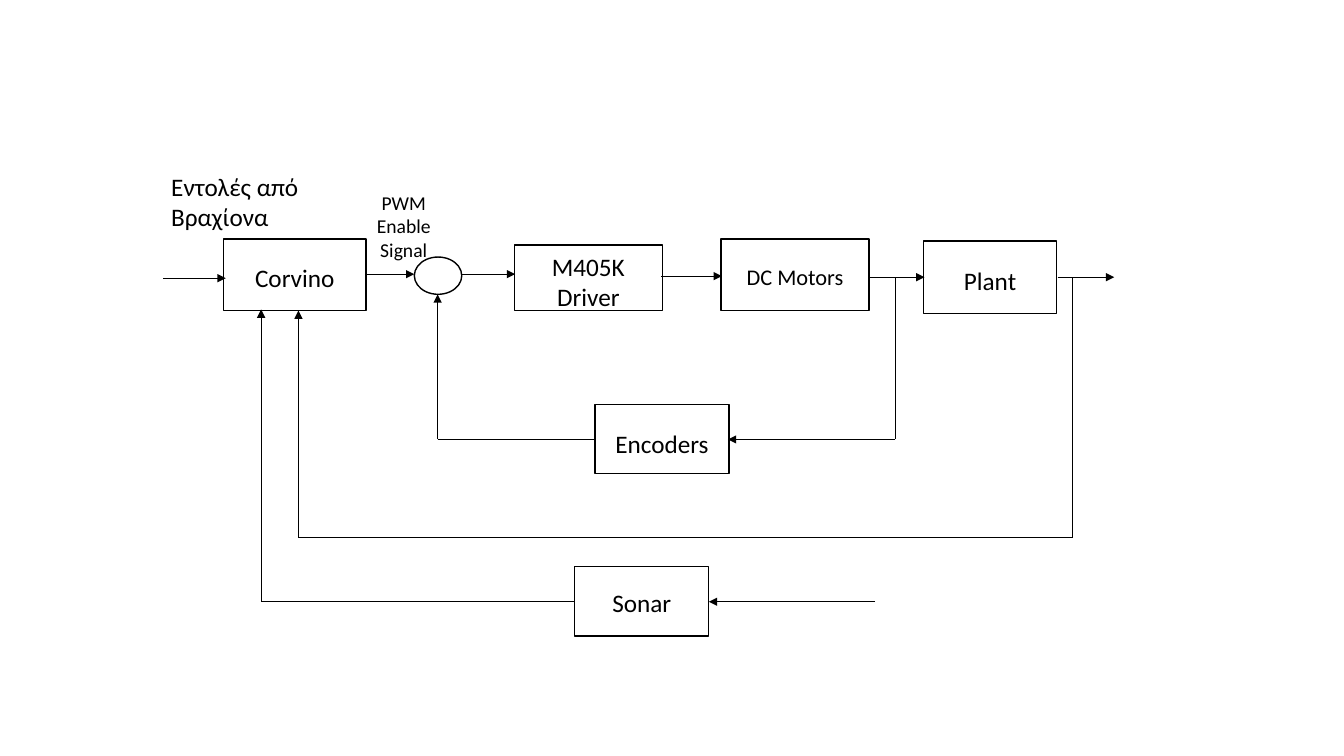
from itertools import pairwise

from pptx import Presentation, util as u
from pptx.dml.color import RGBColor
from pptx.enum import shapes as s, text as t
from pptx.oxml.ns import qn
from lxml import etree

WIDE, HIGH = u.Inches(13.33), u.Inches(7.5)
INK = "000000"

BLOCKS = [
    ("Corvino", (16.65, 31.6, 10.58, 9.47), 3.1, 18),
    ("M405K Driver", (38.26, 32.4, 11.03, 8.67), 0.8, 18),
    ("DC Motors", (53.64, 31.6, 11.03, 9.47), 3.2, 16),
    ("Plant", (68.72, 31.87, 9.9, 9.6), 3.2, 18),
    ("Encoders", (44.26, 53.47, 9.98, 9.2), 3.2, 18),
    ("Sonar", (42.76, 74.93, 9.98, 9.2), 2.7, 18),
]

FORWARD = [
    (12.15, 16.8, 36.8),
    (27.16, 30.83, 36.27),
    (34.28, 38.33, 36.27),
    (49.21, 53.71, 36.53),
    (64.59, 68.79, 36.67),
    (78.69, 82.9, 36.67),
]

FEEDBACK = [
    [(66.62, 36.67), (66.62, 58.13), (54.16, 58.13)],
    [(44.26, 58.13), (32.56, 58.13), (32.56, 38.93)],
    [(79.82, 36.67), (79.82, 71.07), (22.21, 71.07), (22.21, 41.07)],
    [(65.12, 79.6), (52.74, 79.6)],
    [(42.76, 79.6), (19.43, 79.6), (19.43, 40.93)],
]


def color(code):
    """Turn a hex string into a colour."""
    return RGBColor.from_string(code)


def col(share):
    """Turn a percentage of the slide width into a length."""
    return round(WIDE * share / 100)


def row(share):
    """Turn a percentage of the slide height into a length."""
    return round(HIGH * share / 100)


def place(area):
    """Turn left, top, width and height shares into lengths."""
    left, top, width, height = area
    return col(left), row(top), col(width), row(height)


def write(shape, words, size, align, pad=0.67):
    """Write one wrapped paragraph from the top of a shape."""
    frame = shape.text_frame
    frame.word_wrap = True
    frame.vertical_anchor = t.MSO_ANCHOR.TOP
    frame.margin_top, frame.margin_bottom = row(pad), 0
    para = frame.paragraphs[0]
    para.text, para.alignment = words, align
    para.font.name, para.font.size = "Calibri", u.Pt(size)
    para.font.color.rgb = color(INK)


def outline(slide, kind, area):
    """Draw an unfilled shape with a thin black line."""
    shape = slide.shapes.add_shape(kind, *place(area))
    shape.shadow.inherit = False
    shape.fill.background()
    shape.line.color.rgb = color(INK)
    shape.line.width = u.Pt(1)
    return shape


def block(slide, words, area, pad, size):
    """Draw a named block of the control loop."""
    shape = outline(slide, s.MSO_SHAPE.RECTANGLE, area)
    write(shape, words, size, t.PP_ALIGN.CENTER, pad)


def label(slide, words, area, size, align):
    """Add a free label beside a wire."""
    write(slide.shapes.add_textbox(*place(area)), words, size, align)


def wire(slide, points):
    """Join points by straight lines, with an arrow at the last."""
    for start, end in pairwise(points):
        link = slide.shapes.add_connector(
            s.MSO_CONNECTOR.STRAIGHT,
            col(start[0]), row(start[1]), col(end[0]), row(end[1]))
        link.line.color.rgb = color(INK)
        link.line.width = u.Pt(0.5)
        props = link._element.spPr
        etree.SubElement(props, qn("a:effectLst"))
    etree.SubElement(props.find(qn("a:ln")), qn("a:tailEnd"), type="triangle")


def main():
    """Build the motor control diagram."""
    deck = Presentation()
    deck.slide_width, deck.slide_height = WIDE, HIGH
    slide = deck.slides.add_slide(deck.slide_layouts[6])
    for item in BLOCKS:
        block(slide, *item)
    outline(slide, s.MSO_SHAPE.OVAL, (30.83, 34, 3.53, 4.93))
    for left, right, level in FORWARD:
        wire(slide, [(left, level), (right, level)])
    for points in FEEDBACK:
        wire(slide, points)
    label(slide, "Εντολές από Βραχίονα", (12, 22, 16.65, 9.47), 18,
          t.PP_ALIGN.LEFT)
    label(slide, "PWM Enable Signal", (26.33, 24.53, 7.43, 10.13), 14,
          t.PP_ALIGN.CENTER)
    deck.save("out.pptx")


if __name__ == "__main__":
    main()
